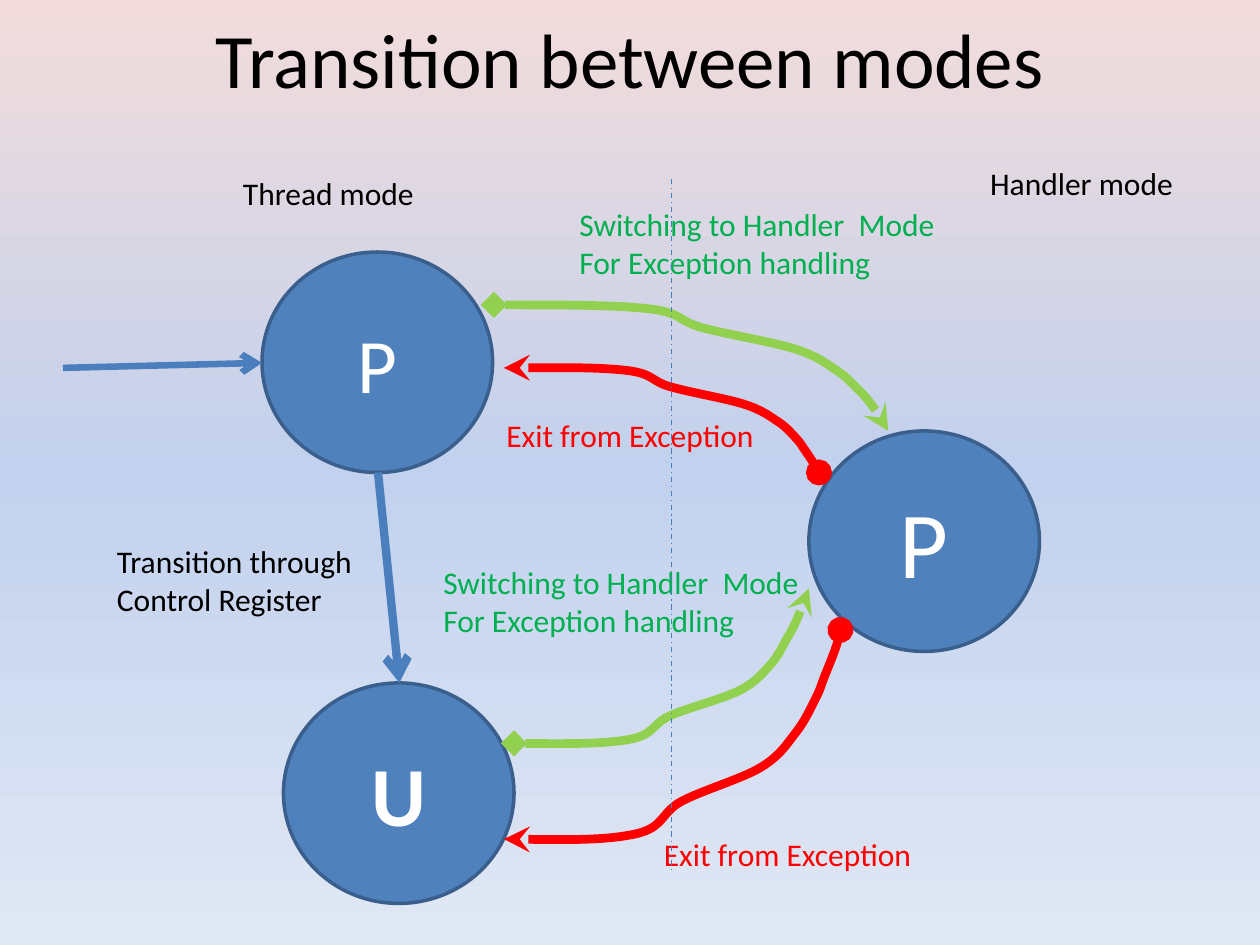
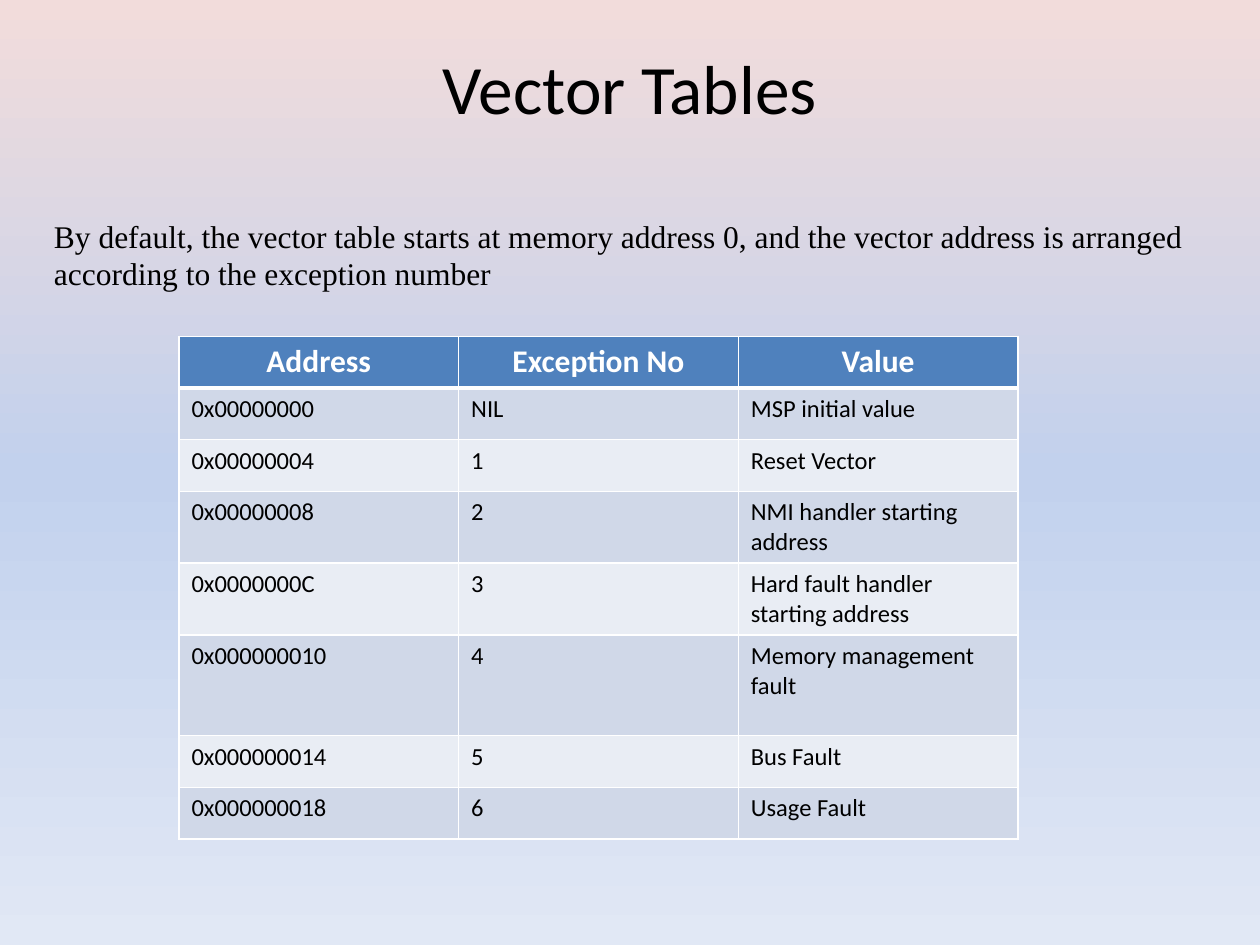
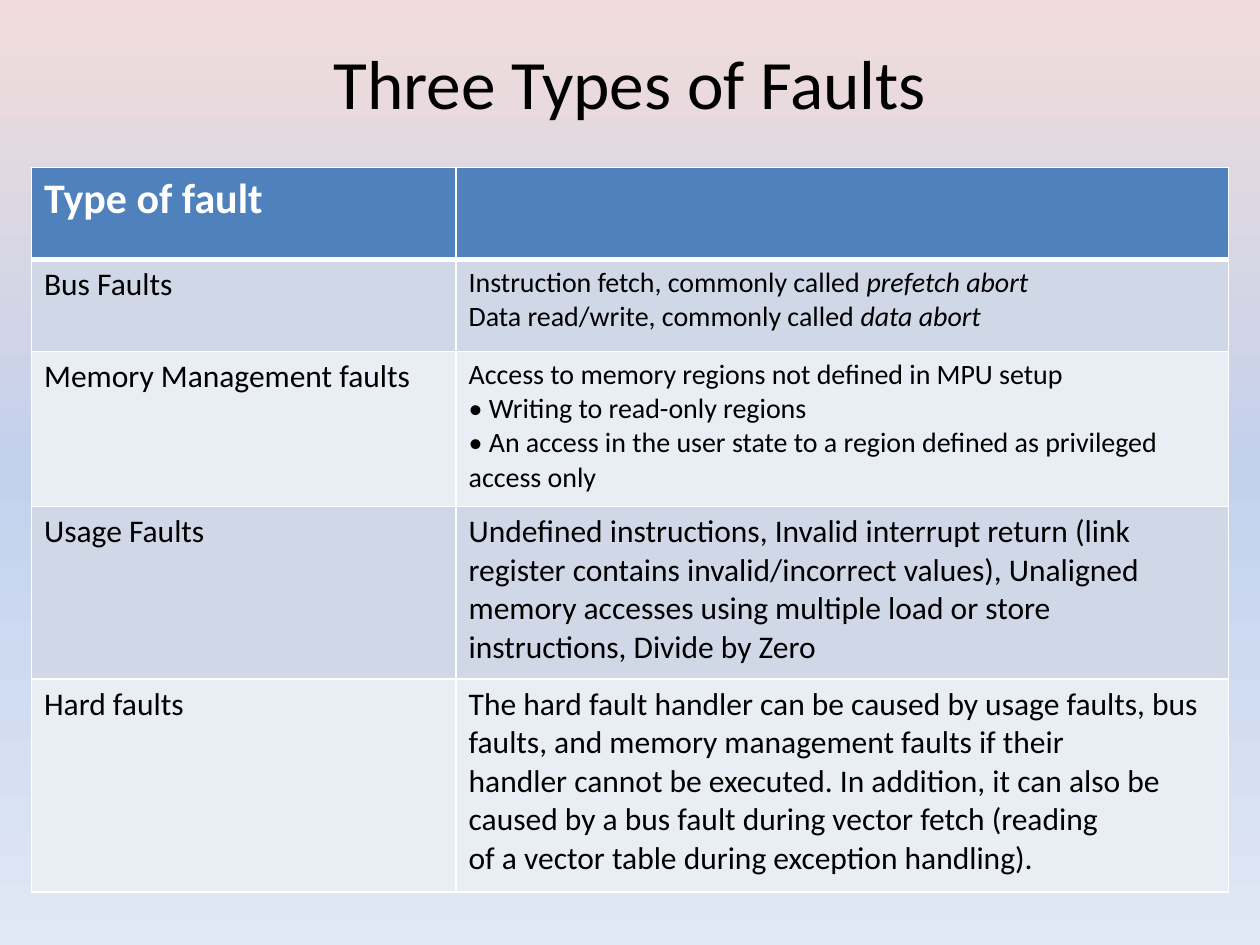
from copy import deepcopy

from lxml import etree
from pptx import Presentation
from pptx.dml.color import RGBColor
from pptx.enum.dml import MSO_LINE
from pptx.enum.shapes import MSO_CONNECTOR, MSO_SHAPE
from pptx.enum.text import MSO_ANCHOR, PP_ALIGN
from pptx.oxml.ns import qn
from pptx.util import Inches, Pt

# Shared look
BLACK = RGBColor(0x00, 0x00, 0x00)
WHITE = RGBColor(0xFF, 0xFF, 0xFF)
BLUE = RGBColor(0x4F, 0x81, 0xBD)
OUTLINE_BLUE = RGBColor(0x3A, 0x5F, 0x8C)
ARROW_BLUE = RGBColor(0x4B, 0x7E, 0xBC)
LIME = RGBColor(0x92, 0xD0, 0x50)
GREEN = RGBColor(0x00, 0xB0, 0x50)
RED = RGBColor(0xFF, 0x00, 0x00)
BANDS = (RGBColor(0xD0, 0xD8, 0xE8), RGBColor(0xE9, 0xED, 0xF4))
BACKDROP = (
    (0, RGBColor(0xF2, 0xDC, 0xDB)),
    (0.5, RGBColor(0xC2, 0xD1, 0xED)),
    (1, RGBColor(0xE1, 0xE8, 0xF5)),
)
SANS = "Calibri"
SERIF = "Times New Roman"

LEFT, CENTER = PP_ALIGN.LEFT, PP_ALIGN.CENTER
TOP, MIDDLE = MSO_ANCHOR.TOP, MSO_ANCHOR.MIDDLE
STRAIGHT = MSO_CONNECTOR.STRAIGHT
OVAL = MSO_SHAPE.OVAL
DASH_DOT = MSO_LINE.DASH_DOT

# Slide 1: state circles (letter, left, top, size, bold)
CIRCLE_WIDTH, CIRCLE_HEIGHT = 1.83, 1.75
STATES = (
    ("P", 2.08, 2, 44, False),
    ("U", 2.25, 5.42, 48, True),
    ("P", 6.42, 3.42, 54, False),
)

# Points that each curve passes through, from thread mode to handler mode
SWITCH_FROM_PRIVILEGED = (
    (3.92, 2.42), (5.14, 2.45), (5.57, 2.6), (6.31, 2.77), (6.64, 2.94),
    (6.82, 3.1), (6.9, 3.19), (7, 3.33), (7.05, 3.42),
)
EXIT_TO_PRIVILEGED = (
    (4, 2.92), (4.97, 2.94), (5.32, 3.07), (5.91, 3.21), (6.18, 3.35),
    (6.32, 3.48), (6.38, 3.56), (6.46, 3.68), (6.5, 3.75),
)
EXIT_TO_USER = (
    (4, 6.66), (5.04, 6.62), (5.41, 6.36), (6.04, 6.09), (6.32, 5.81),
    (6.48, 5.53), (6.54, 5.38), (6.63, 5.15), (6.67, 5),
)
SWITCH_FROM_USER = (
    (4.08, 5.9), (4.99, 5.87), (5.32, 5.68), (5.87, 5.48), (6.12, 5.27),
    (6.25, 5.06), (6.31, 4.95), (6.38, 4.78), (6.42, 4.67),
)

SWITCHING = "Switching to Handler  Mode\nFor Exception handling"
EXITING = "Exit from Exception"
LABELS = (
    ("Transition through\nControl Register", (0.83, 4.25, 2.09, 0.71), BLACK),
    (SWITCHING, (4.5, 1.58, 3.83, 0.71), GREEN),
    (SWITCHING, (3.42, 4.42, 3.83, 0.71), GREEN),
    (EXITING, (3.92, 3.25, 2.19, 0.4), RED),
    (EXITING, (5.17, 6.58, 2.19, 0.4), RED),
    ("Thread mode", (1.83, 1.33, 1.57, 0.4), BLACK),
    ("Handler mode", (7.76, 1.25, 1.67, 0.4), BLACK),
)

# Slide 2: vector table
VECTORS = (
    ("Address", "Exception No", "Value"),
    ("0x00000000", "NIL", "MSP initial value"),
    ("0x00000004", "1", "Reset Vector"),
    ("0x00000008", "2", "NMI handler starting address"),
    ("0x0000000C", "3", "Hard fault handler starting address"),
    ("0x000000010", "4", "Memory management fault"),
    ("0x000000014", "5", "Bus Fault"),
    ("0x000000018", "6", "Usage Fault"),
)
VECTOR_HEIGHTS = (0.41, 0.41, 0.41, 0.57, 0.57, 0.8, 0.41, 0.41)

# Slide 3: faults; asterisks enclose italics
FAULTS = (
    ("Type of fault", ""),
    ("Bus Faults",
     "Instruction fetch, commonly called *prefetch abort*\n"
     "Data read/write, commonly called *data abort*"),
    ("Memory Management faults",
     "Access to memory regions not defined in MPU setup\n"
     "• Writing to read-only regions\n"
     "• An access in the user state to a region defined as privileged access only"),
    ("Usage Faults",
     "Undefined instructions, Invalid interrupt return (link register contains "
     "invalid/incorrect values), Unaligned memory accesses using multiple load or "
     "store instructions, Divide by Zero"),
    ("Hard faults",
     "The hard fault handler can be caused by usage faults, bus faults, and memory "
     "management faults if their\n"
     "handler cannot be executed. In addition, it can also be caused by a bus fault "
     "during vector fetch (reading\n"
     "of a vector table during exception handling)."),
)
FAULT_HEIGHTS = (0.73, 0.73, 1.23, 1.37, 1.69)


def write_text(frame, text, size=18, color=BLACK, font=SANS, bold=False,
               align=LEFT, anchor=TOP, wrap=True):
    """Write one paragraph per line; text between asterisks is italic."""
    frame.word_wrap = wrap
    frame.vertical_anchor = anchor
    for number, line in enumerate(text.split("\n")):
        paragraph = frame.add_paragraph() if number else frame.paragraphs[0]
        paragraph.alignment = align
        for part, words in enumerate(line.split("*")):
            if not words:
                continue
            run = paragraph.add_run()
            run.text = words
            run.font.name = font
            run.font.size = Pt(size)
            run.font.bold = bold
            run.font.italic = part % 2 == 1
            run.font.color.rgb = color


def add_label(slide, text, box, **text_format):
    label = slide.shapes.add_textbox(*map(Inches, box))
    write_text(label.text_frame, text, **text_format)


def add_page(deck, title, top, height, size):
    """Add a slide with the shared backdrop and title style."""
    slide = deck.slides.add_slide(deck.slide_layouts[6])
    fill = slide.background.fill
    fill.gradient()
    fill.gradient_angle = 270
    stop_list = slide._element.find(".//" + qn("a:gsLst"))
    stop_list.append(deepcopy(stop_list[-1]))
    for stop, (position, color) in zip(fill.gradient_stops, BACKDROP):
        stop.position = position
        stop.color.rgb = color
    add_label(slide, title, (0.5, top, 9, height), size=size,
              align=CENTER, anchor=MIDDLE)
    return slide


def set_line(line, color, width, head=None, tail=None):
    line.color.rgb = color
    line.width = Pt(width)
    for tag, kind in (("a:headEnd", head), ("a:tailEnd", tail)):
        if kind:
            etree.SubElement(line._get_or_add_ln(), qn(tag), type=kind)


def add_state(slide, letter, left, top, size, bold):
    circle = slide.shapes.add_shape(
        OVAL, *map(Inches, (left, top, CIRCLE_WIDTH, CIRCLE_HEIGHT)))
    circle.shadow.inherit = False
    circle.fill.solid()
    circle.fill.fore_color.rgb = BLUE
    set_line(circle.line, OUTLINE_BLUE, 2)
    write_text(circle.text_frame, letter, size=size, color=WHITE, bold=bold,
               align=CENTER, anchor=MIDDLE)


def add_straight(slide, start, end, width, tail=None, dash=None):
    straight = slide.shapes.add_connector(STRAIGHT, *map(Inches, start + end))
    if dash:
        straight.line.dash_style = dash
    set_line(straight.line, ARROW_BLUE, width, tail=tail)
    etree.SubElement(straight._element.spPr, qn("a:effectLst"))


def smooth_controls(points):
    """Yield both control points and the end of each smooth segment."""
    last = len(points) - 1
    slopes = [
        tuple((after - before) / 6 for before, after in
              zip(points[max(i - 1, 0)], points[min(i + 1, last)]))
        for i in range(last + 1)
    ]
    for i in range(last):
        leave = tuple(p + s for p, s in zip(points[i], slopes[i]))
        arrive = tuple(p - s for p, s in zip(points[i + 1], slopes[i + 1]))
        if i == 0:
            leave = tuple((p + a) / 2 for p, a in zip(points[0], arrive))
        yield leave, arrive, points[i + 1]


def add_curve(slide, anchors, color, head, tail):
    points = [(Inches(x), Inches(y)) for x, y in anchors]
    builder = slide.shapes.build_freeform(*points[0])
    builder.add_line_segments(points[1:], close=False)
    curve = builder.convert_to_shape()
    curve.shadow.inherit = False
    curve.fill.background()
    set_line(curve.line, color, 5, head, tail)

    # Turn the straight segments into Bézier segments
    outline = curve._element.find(".//" + qn("a:path"))
    local = [(int(pt.get("x")), int(pt.get("y"))) for pt in outline.iter(qn("a:pt"))]
    for segment in outline.findall(qn("a:lnTo")):
        outline.remove(segment)
    for controls in smooth_controls(local):
        bezier = etree.SubElement(outline, qn("a:cubicBezTo"))
        for x, y in controls:
            etree.SubElement(bezier, qn("a:pt"), x=str(round(x)), y=str(round(y)))


def set_borders(cell, top, bottom):
    properties = cell._tc.get_or_add_tcPr()
    sides = (("a:lnL", 1), ("a:lnR", 1), ("a:lnT", top), ("a:lnB", bottom))
    for place, (tag, width) in enumerate(sides):
        border = etree.Element(qn(tag), w=str(int(Pt(width))))
        paint = etree.SubElement(border, qn("a:solidFill"))
        etree.SubElement(paint, qn("a:srgbClr"), val=str(WHITE))
        properties.insert(place, border)


def add_grid(slide, rows, left, top, widths, heights, header, body_size):
    """Add a banded table; body_size(row, column) gives the text size."""
    grid = slide.shapes.add_table(
        len(rows), len(widths),
        *map(Inches, (left, top, sum(widths), sum(heights)))).table
    for column, width in zip(grid.columns, widths):
        column.width = Inches(width)
    for r, (row, height) in enumerate(zip(rows, heights)):
        grid.rows[r].height = Inches(height)
        for c, text in enumerate(row):
            cell = grid.cell(r, c)
            cell.fill.solid()
            cell.fill.fore_color.rgb = BANDS[(r - 1) % 2] if r else BLUE
            set_borders(cell, 3 if r == 1 else 1, 1 if r else 3)
            style = {"size": body_size(r, c)} if r else header
            write_text(cell.text_frame, text, **style)


def add_modes(deck):
    slide = add_page(deck, "Transition between modes", 0, 0.92, 44)
    for state in STATES:
        add_state(slide, *state)
    add_straight(slide, (0.5, 2.92), (2.08, 2.88), 3.75, tail="arrow")
    for switch in (SWITCH_FROM_PRIVILEGED, SWITCH_FROM_USER):
        add_curve(slide, switch, LIME, "diamond", "stealth")
    for way_out in (EXIT_TO_PRIVILEGED, EXIT_TO_USER):
        add_curve(slide, way_out, RED, "stealth", "oval")
    add_straight(slide, (3, 3.75), (3.17, 5.42), 4.75, tail="arrow")
    for text, box, color in LABELS:
        add_label(slide, text, box, color=color, wrap=text == SWITCHING)
    add_straight(slide, (5.33, 1.42), (5.33, 6.92), 0.75, dash=DASH_DOT)


def add_vectors(deck):
    slide = add_page(deck, "Vector Tables", 0.3, 0.78, 39.6)
    add_label(slide,
              "By default, the vector table starts at memory address 0, "
              "and the vector address is arranged\n"
              "according to the exception number",
              (0.33, 1.67, 9.35, 0.71), font=SERIF)
    add_grid(slide, VECTORS, 1.42, 2.67, [2.22] * 3, VECTOR_HEIGHTS,
             {"size": 18, "color": WHITE, "bold": True, "align": CENTER},
             lambda row, column: 14)


def add_faults(deck):
    slide = add_page(deck, "Three Types of Faults", 0.3, 0.7, 39.6)
    add_grid(slide, FAULTS, 0.25, 1.33, (3.37, 6.13), FAULT_HEIGHTS,
             {"size": 24, "color": WHITE, "bold": True},
             lambda row, column: 16 if column == 1 and row <= 2 else 18)


def main():
    deck = Presentation()
    deck.slide_width, deck.slide_height = Inches(10), Inches(7.5)
    add_modes(deck)
    add_vectors(deck)
    add_faults(deck)
    deck.save("out.pptx")


if __name__ == "__main__":
    main()
